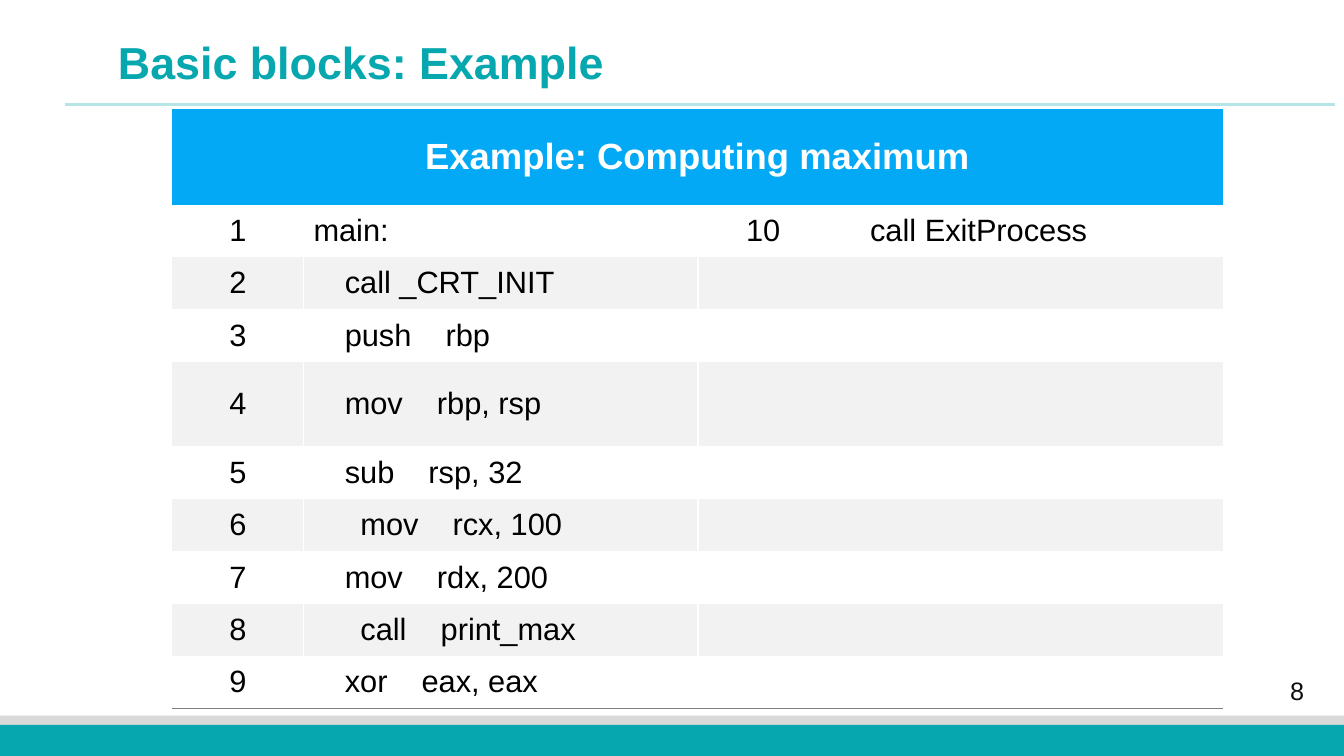
from lxml.etree import SubElement
from pptx import Presentation
from pptx.dml.color import RGBColor
from pptx.enum.shapes import MSO_CONNECTOR, MSO_SHAPE
from pptx.enum.text import MSO_ANCHOR, PP_ALIGN
from pptx.oxml.ns import qn
from pptx.util import Inches, Pt

TITLE = "Basic blocks: Example"
PAGE = "8"
HEADING = "Example: Computing maximum"
# Each instruction: indent steps and code
LEFT_CODE = [
    (0, "main:"),
    (2, "call _CRT_INIT"),
    (2, "push    rbp"),
    (2, "mov    rbp, rsp"),
    (2, "sub    rsp, 32"),
    (3, "mov    rcx, 100"),
    (2, "mov    rdx, 200"),
    (3, "call    print_max"),
    (2, "xor    eax, eax"),
]
RIGHT_CODE = [(2, "call ExitProcess")]

COLORS = {
    "teal": "07A7AF", "pale teal": "B5E5E7", "gray": "D9D9D9", "ink": "0D0D0D",
    "heading": "03A9F5", "white": "FFFFFF", "band": "F2F2F2", "black": "000000",
    "table end": "7F7F7F",
}
WIDTH, HEIGHT = 13.33, 7.5
STEP = 0.155
NUMBER_WIDTH, CODE_WIDTH = 1.3, 3.91
ROW, TALL_ROW, HEADING_ROW = 0.52, 0.84, 0.95
TALL_LINE = 4
TABLE_LEFT, TABLE_TOP = 1.71, 1.08


def rgb(name):
    return RGBColor.from_string(COLORS[name])


def write(frame, text, size, color, bold=False, align=PP_ALIGN.LEFT, indent=0):
    paragraph = frame.paragraphs[0]
    paragraph.text = text
    paragraph.alignment = align
    if indent:
        properties = paragraph._p.get_or_add_pPr()
        properties.set("marL", "0")
        properties.set("indent", str(Inches(indent)))
    formats = {"name": "Arial", "size": Pt(size), "bold": bold}
    for key, value in formats.items():
        setattr(paragraph.runs[0].font, key, value)
    paragraph.runs[0].font.color.rgb = rgb(color)
    return paragraph


def border(cell, side, color, width):
    line = SubElement(cell._tc.get_or_add_tcPr(), qn(f"a:ln{side}"), w=str(Pt(width)))
    fill = SubElement(line, qn("a:solidFill"))
    SubElement(fill, qn("a:srgbClr"), val=COLORS[color])


def paint(cell, color):
    cell.fill.solid()
    cell.fill.fore_color.rgb = rgb(color)
    cell.vertical_anchor = MSO_ANCHOR.MIDDLE


def add_frame(slide):
    """Footer bands, title rule, title and page number."""
    for top, color in ((7.1, "gray"), (7.19, "teal")):
        band = slide.shapes.add_shape(
            MSO_SHAPE.RECTANGLE, 0, Inches(top), Inches(WIDTH), Inches(HEIGHT - top))
        band.shadow.inherit = False
        band.fill.solid()
        band.fill.fore_color.rgb = rgb(color)
        band.line.fill.background()

    rule = slide.shapes.add_connector(
        MSO_CONNECTOR.STRAIGHT, Inches(0.64), Inches(1.04), Inches(13.24), Inches(1.04))
    rule.line.color.rgb = rgb("pale teal")
    rule.line.width = Pt(2.25)
    SubElement(rule._element.spPr, qn("a:effectLst"))

    title = slide.shapes.title
    title.left, title.top = Inches(1.07), Inches(0.35)
    title.width, title.height = Inches(WIDTH - 1.07), Inches(0.48)
    title.text_frame.vertical_anchor = MSO_ANCHOR.TOP
    write(title.text_frame, TITLE, 32, "teal", bold=True).line_spacing = 0.9

    page = slide.shapes.add_textbox(Inches(12.41), Inches(6.65), Inches(0.91), Inches(0.39))
    page.text_frame.word_wrap = True
    page.text_frame.vertical_anchor = MSO_ANCHOR.MIDDLE
    write(page.text_frame, PAGE, 18, "ink", align=PP_ALIGN.CENTER)


def add_listing(slide):
    columns = [NUMBER_WIDTH, CODE_WIDTH] * 2
    rows = [HEADING_ROW] + [
        TALL_ROW if line == TALL_LINE else ROW for line in range(1, len(LEFT_CODE) + 1)]
    listing = slide.shapes.add_table(
        len(rows), len(columns), Inches(TABLE_LEFT), Inches(TABLE_TOP),
        Inches(sum(columns)), Inches(sum(rows))).table
    listing.first_row = listing.horz_banding = False
    style = listing._tbl.tblPr.find(qn("a:tableStyleId"))
    style.text = "{2D5ABB26-0587-4C30-8999-92F81FD0307C}"
    for column, width in zip(listing.columns, columns):
        column.width = Inches(width)
    for row, height in zip(listing.rows, rows):
        row.height = Inches(height)

    heading = listing.cell(0, 0)
    heading.merge(listing.cell(0, len(columns) - 1))
    paint(heading, "heading")
    write(heading.text_frame, HEADING, 26, "white", bold=True, align=PP_ALIGN.CENTER)

    for row in range(1, len(rows)):
        for column in range(len(columns)):
            cell = listing.cell(row, column)
            if column < 2:
                border(cell, "RL"[column], "white", 1.5)
            if row == len(rows) - 1:
                border(cell, "B", "table end", 1)
            paint(cell, "white" if row % 2 else "band")

    for index, (steps, code) in enumerate(LEFT_CODE + RIGHT_CODE):
        half, offset = divmod(index, len(LEFT_CODE))
        number, instruction = (listing.cell(offset + 1, 2 * half + side) for side in (0, 1))
        write(number.text_frame, str(index + 1), 22, "black", align=PP_ALIGN.CENTER)
        write(instruction.text_frame, code, 22, "black", indent=steps * STEP)


def main():
    deck = Presentation()
    deck.slide_width, deck.slide_height = Inches(WIDTH), Inches(HEIGHT)
    slide = deck.slides.add_slide(deck.slide_layouts[5])
    add_frame(slide)
    add_listing(slide)
    deck.save("out.pptx")


if __name__ == "__main__":
    main()
